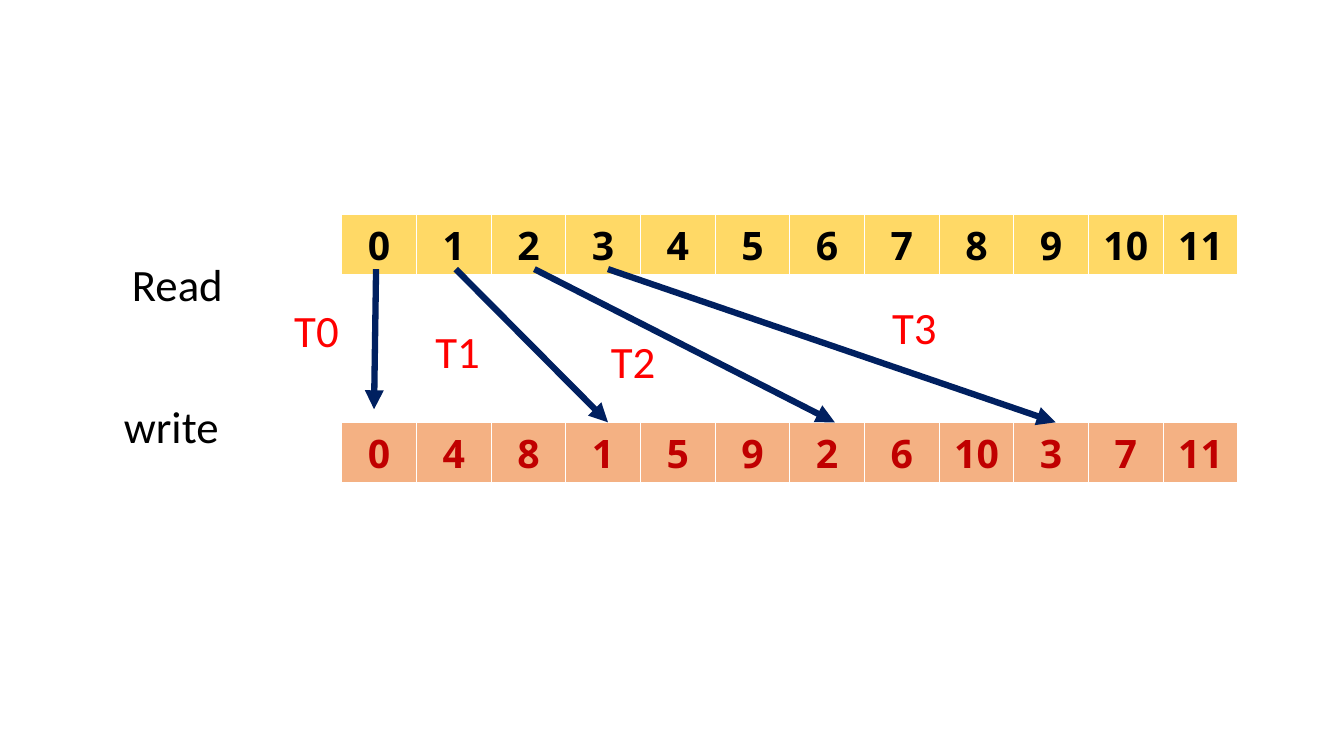
from lxml import etree
from pptx import Presentation
from pptx.dml.color import RGBColor
from pptx.enum.shapes import MSO_CONNECTOR
from pptx.enum.text import MSO_ANCHOR, MSO_AUTO_SIZE, PP_ALIGN
from pptx.oxml.ns import qn
from pptx.util import Inches, Pt

THREADS = 4
ITEMS_PER_THREAD = 3
ITEMS = THREADS * ITEMS_PER_THREAD


def color(value):
    return RGBColor.from_string(value)


def style_run(paragraph, text, font, size, value, bold=False):
    run = paragraph.add_run()
    run.text = text
    run.font.name = font
    run.font.size = Pt(size)
    run.font.bold = bold
    run.font.color.rgb = color(value)


def add_border(cell, side, value, points):
    line = etree.SubElement(cell._tc.get_or_add_tcPr(), qn("a:ln" + side), w=str(Pt(points)))
    fill = etree.SubElement(line, qn("a:solidFill"))
    etree.SubElement(fill, qn("a:srgbClr"), val=value)


def add_array(slide, box, values, fill, text_color):
    left, top, width, height = map(Inches, box)
    table = slide.shapes.add_table(1, len(values), left, top, width, height).table
    for column, value in enumerate(values):
        table.columns[column].width = width // len(values)
        cell = table.cell(0, column)
        for side, points in (("L", 1), ("R", 1), ("T", 1), ("B", 3)):
            add_border(cell, side, "FFFFFF", points)
        cell.fill.solid()
        cell.fill.fore_color.rgb = color(fill)
        cell.margin_top = cell.margin_bottom = Inches(0.04)
        cell.vertical_anchor = MSO_ANCHOR.MIDDLE
        paragraph = cell.text_frame.paragraphs[0]
        paragraph.alignment = PP_ALIGN.CENTER
        style_run(paragraph, str(value), "Open Sans", 28, text_color, True)


def add_label(slide, box, text, value):
    frame = slide.shapes.add_textbox(*map(Inches, box)).text_frame
    frame.word_wrap = True
    frame.auto_size = MSO_AUTO_SIZE.SHAPE_TO_FIT_TEXT
    style_run(frame.paragraphs[0], text, "Calibri", 32, value)


def add_arrow(slide, start, end):
    arrow = slide.shapes.add_connector(MSO_CONNECTOR.STRAIGHT, *map(Inches, start + end))
    arrow.line.color.rgb = color("002060")
    arrow.line.width = Pt(4.5)
    etree.SubElement(arrow.line._get_or_add_ln(), qn("a:tailEnd"), type="triangle")
    etree.SubElement(arrow._element.spPr, qn("a:effectLst"))


def add_transpose(slide, box):
    left, top, width, height = box
    row_height = 0.57
    read_order = range(ITEMS)
    write_order = [i % ITEMS_PER_THREAD * THREADS + i // ITEMS_PER_THREAD for i in read_order]
    add_array(slide, (left, top, width, row_height), read_order, "FFD966", "000000")
    add_array(slide, (left, top + height - row_height, width, row_height),
              write_order, "F4B183", "C00000")

    arrows = [(0.34, 0.32, 1.93), (1.13, 2.64, 2.06), (1.91, 4.89, 2.06), (2.64, 7.08, 2.06)]
    for start_x, end_x, end_y in arrows:
        add_arrow(slide, (left + start_x, top + 0.54), (left + end_x, top + end_y))

    thread_labels = [(-0.57, 0.82), (0.83, 1.03), (2.57, 1.13), (5.36, 0.79)]
    for thread, (x, y) in enumerate(thread_labels):
        add_label(slide, (left + x, top + y, 0.87, 0.64), f"T{thread}", "FF0000")


def add_row_names(slide, box):
    left, top, width, height = box
    add_label(slide, (left + 0.08, top, width, 0.64), "Read", "000000")
    add_label(slide, (left, top + height - 0.64, width, 0.64), "write", "000000")


presentation = Presentation()
presentation.slide_width = Inches(13.33)
presentation.slide_height = Inches(7.5)
slide = presentation.slides.add_slide(presentation.slide_layouts[6])
add_transpose(slide, (3.39, 2.13, 8.89, 2.63))
add_row_names(slide, (1.13, 2.5, 2.52, 2.05))
presentation.save("out.pptx")
